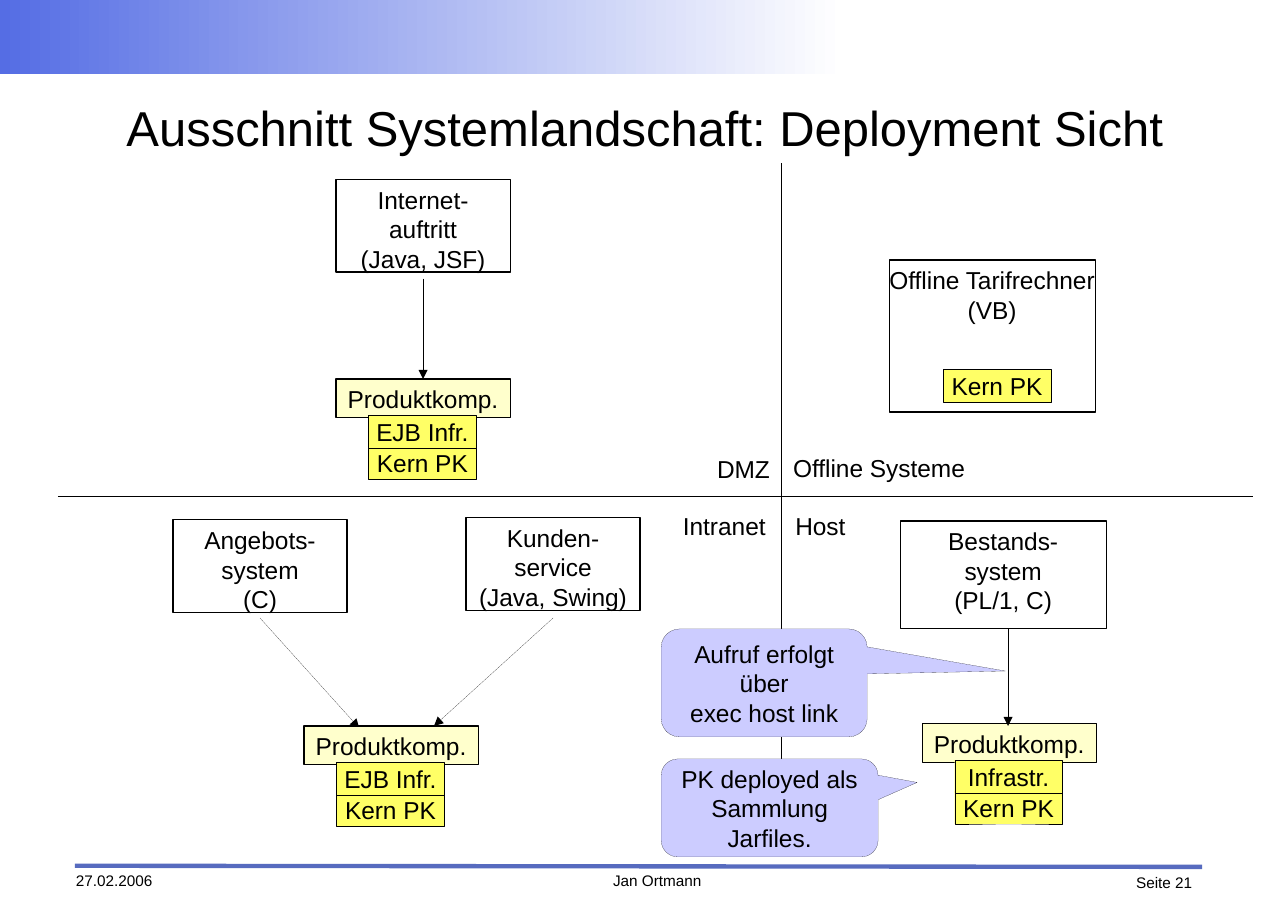
from dataclasses import dataclass

from lxml import etree
from pptx import Presentation
from pptx.dml.color import RGBColor
from pptx.enum.shapes import MSO_CONNECTOR, MSO_SHAPE
from pptx.enum.text import MSO_ANCHOR, PP_ALIGN
from pptx.oxml.ns import qn
from pptx.util import Inches, Pt

WIDTH, HEIGHT = Inches(11.69), Inches(8.27)
COLUMNS = ROWS = 100

BLACK = RGBColor(0x00, 0x00, 0x00)
WHITE = RGBColor(0xFF, 0xFF, 0xFF)
BANNER_BLUE = RGBColor(0x55, 0x6D, 0xE4)
RULE_BLUE = RGBColor(0x57, 0x6B, 0xBF)
CREAM = RGBColor(0xFF, 0xFF, 0xCC)
YELLOW = RGBColor(0xFF, 0xFF, 0x66)
LILAC = RGBColor(0xCC, 0xCC, 0xFF)

HAIRLINE, THIN = 0.05, 0.75
PADDING = (0.1, 0.05)
SYSTEM_SIZE = (13.52, 10.16)
COMPONENT_SIZE = (13.52, 4.23)
PART_SIZE = (8.38, 3.63)


@dataclass
class Box:
    """A rectangle in grid columns and rows."""
    left: float
    top: float
    width: float
    height: float

    def inner(self, left, top, width, height):
        return Box(self.left + left, self.top + top, width, height)

    def point(self, x, y):
        return self.left + x, self.top + y

    def place(self):
        return (*to_slide(self.left, self.top), *to_slide(self.width, self.height))


def to_slide(x, y):
    return round(x * WIDTH / COLUMNS), round(y * HEIGHT / ROWS)


def write(shape, lines, size=16, align=PP_ALIGN.CENTER, anchor=MSO_ANCHOR.MIDDLE,
          padding=(0, 0), wrap=True):
    frame = shape.text_frame
    frame.word_wrap = wrap
    frame.vertical_anchor = anchor
    frame.margin_left = frame.margin_right = Inches(padding[0])
    frame.margin_top = frame.margin_bottom = Inches(padding[1])
    for index, line in enumerate(lines):
        para = frame.add_paragraph() if index else frame.paragraphs[0]
        para.alignment = align
        span = para.add_run()
        span.text = line
        span.font.name = "Arial"
        span.font.size = Pt(size)
        span.font.color.rgb = BLACK


def add_label(page, box, text, **style):
    write(page.shapes.add_textbox(*box.place()), [text], **style)


def add_block(page, box, lines, fill=None, weight=THIN, kind=MSO_SHAPE.RECTANGLE, **style):
    shape = page.shapes.add_shape(kind, *box.place())
    shape.shadow.inherit = False
    if fill is None:
        shape.fill.background()
    else:
        shape.fill.solid()
        shape.fill.fore_color.rgb = fill
    shape.line.color.rgb = BLACK
    shape.line.width = Pt(weight)
    write(shape, lines, **style)
    return shape


def add_line(page, start, end, color=BLACK, weight=HAIRLINE, arrow=False):
    line = page.shapes.add_connector(MSO_CONNECTOR.STRAIGHT, *to_slide(*start), *to_slide(*end))
    line.line.color.rgb = color
    line.line.width = Pt(weight)
    properties = line.element.spPr
    if arrow:
        etree.SubElement(properties.find(qn("a:ln")), qn("a:tailEnd"), type="triangle")
    etree.SubElement(properties, qn("a:effectLst"))


def add_system(page, box, lines, wrap=True):
    add_block(page, box, lines, anchor=MSO_ANCHOR.TOP, padding=PADDING, wrap=wrap)


def add_part(page, box, name):
    add_block(page, box, [name], YELLOW, HAIRLINE)


def add_component(page, box, infrastructure):
    """Product component with its infrastructure and core parts below."""
    add_block(page, box, ["Produktkomp."], CREAM, anchor=MSO_ANCHOR.TOP, padding=PADDING)
    add_part(page, box.inner(2.52, 7.38, *PART_SIZE), "Kern PK")
    add_part(page, box.inner(2.52, 3.99, *PART_SIZE), infrastructure)


def add_callout(page, box, lines, tip):
    callout = add_block(page, box, lines, LILAC, HAIRLINE, MSO_SHAPE.ROUNDED_RECTANGULAR_CALLOUT)
    for index, value in enumerate((*tip, 0.17)):
        callout.adjustments[index] = value


def add_zone_name(page, box, text):
    add_label(page, box, text, align=PP_ALIGN.LEFT, anchor=MSO_ANCHOR.TOP, padding=PADDING)


def add_banner(page, box):
    banner = page.shapes.add_shape(MSO_SHAPE.RECTANGLE, *box.place())
    banner.shadow.inherit = False
    banner.line.fill.background()
    banner.fill.gradient()
    banner.fill.gradient_angle = 0
    for stop, color in zip(banner.fill.gradient_stops, (BANNER_BLUE, WHITE)):
        stop.color.rgb = color


def add_footer(page, box):
    add_line(page, box.point(0, 0), box.point(box.width, 0.12), RULE_BLUE, 2.83)
    for left, top, width, text, align in (
        (0.08, 0.61, 10, "27.02.2006", PP_ALIGN.LEFT),
        (38.32, 0.61, 13.77, "Jan Ortmann", PP_ALIGN.CENTER),
        (81.6, 0.85, 5.14, "Seite 21", PP_ALIGN.RIGHT),
    ):
        add_label(page, box.inner(left, top, width, 2.42), text,
                  size=10, align=align, anchor=MSO_ANCHOR.TOP)


def add_dmz(page, box):
    add_zone_name(page, box.inner(50.33, 31.31, 6.24, 4.23), "DMZ")
    add_system(page, box.inner(21.59, 1.81, *SYSTEM_SIZE), ["Internet-", "auftritt", "(Java, JSF)"])
    add_line(page, box.point(28.35, 12.69), box.point(28.35, 23.7), arrow=True)
    add_component(page, box.inner(21.59, 23.7, *COMPONENT_SIZE), "EJB Infr.")


def add_offline(page, box):
    add_zone_name(page, box.inner(0.09, 31.19, 15.83, 4.23), "Offline Systeme")
    add_system(page, box.inner(8.38, 10.64, 16, 16.69), ["Offline Tarifrechner", "(VB)"], wrap=False)
    add_part(page, box.inner(12.57, 22.61, *PART_SIZE), "Kern PK")


def add_intranet(page, box):
    add_zone_name(page, box.inner(47.68, 0.97, 8.73, 4.23), "Intranet")
    add_system(page, box.inner(8.93, 2.54, *SYSTEM_SIZE), ["Angebots-", "system", "(C)"])
    add_system(page, box.inner(31.68, 2.3, *SYSTEM_SIZE), ["Kunden-", "service", "(Java, Swing)"])
    add_line(page, box.point(15.69, 13.31), box.point(23.39, 25.4), arrow=True)
    add_line(page, box.point(38.44, 13.31), box.point(29.2, 25.16), arrow=True)
    add_component(page, box.inner(19.11, 25.16, *COMPONENT_SIZE), "EJB Infr.")


def add_host(page, box):
    add_zone_name(page, box.inner(0.26, 0.97, 15.83, 4.23), "Host")
    add_system(page, box.inner(9.24, 2.66, 16, 11.85), ["Bestands-", "system", "(PL/1, C)"], wrap=False)
    add_component(page, box.inner(10.95, 24.91, *COMPONENT_SIZE), "Infrastr.")
    add_line(page, box.point(17.62, 14.51), box.point(17.62, 25.16), arrow=True)
    add_callout(page, box.inner(-9.32, 14.51, 16, 11.85),
                ["Aufruf erfolgt über", "exec host link"], (1.17, -0.11))
    add_callout(page, box.inner(-9.32, 28.78, 16.85, 10.76),
                ["PK deployed als", "Sammlung Jarfiles."], (0.68, -0.26))


def add_landscape(page, box):
    """Four zones around a cross of two lines."""
    split_x, split_y = 56.15, 36.63
    right, low = box.width - split_x, box.height - split_y
    add_line(page, box.point(0, split_y), box.point(box.width, split_y), weight=THIN)
    add_line(page, box.point(split_x, 0), box.point(split_x, box.height))
    add_dmz(page, box.inner(0, 0, split_x, split_y))
    add_offline(page, box.inner(split_x, 0, right, split_y))
    add_intranet(page, box.inner(0, split_y, split_x, low))
    add_host(page, box.inner(split_x, split_y, right, low))


def main():
    deck = Presentation()
    deck.slide_width, deck.slide_height = WIDTH, HEIGHT
    page = deck.slides.add_slide(deck.slide_layouts[6])
    add_banner(page, Box(0, 0, 65.6, 8.1))
    add_footer(page, Box(5.82, 95.04, 87.51, 4.96))
    add_label(page, Box(7.61, 9.55, 85.03, 8.71),
              "Ausschnitt Systemlandschaft: Deployment Sicht", size=32)
    add_landscape(page, Box(4.5, 17.9, 92.76, 76.17))
    deck.save("out.pptx")


if __name__ == "__main__":
    main()
